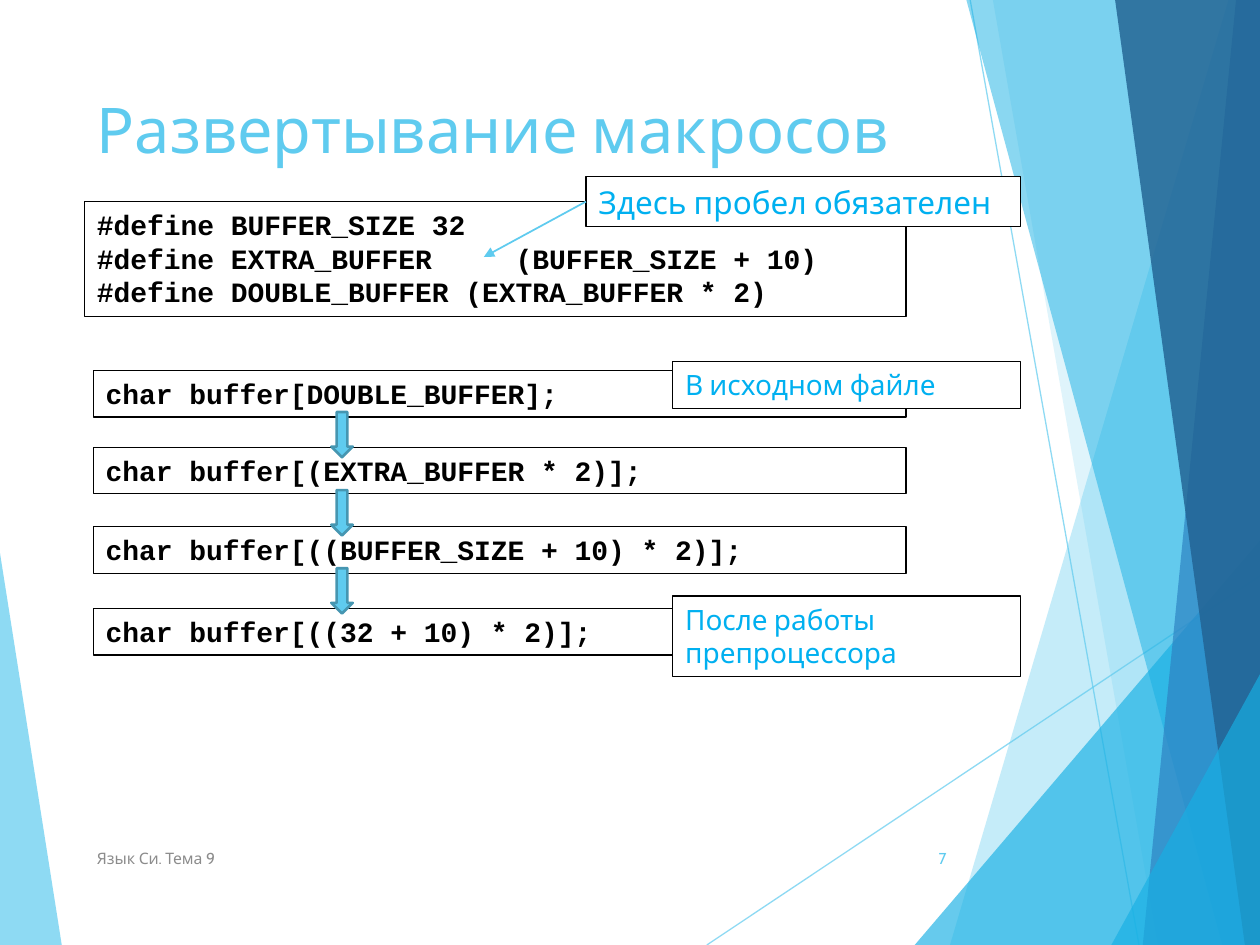
from lxml.etree import SubElement as Sub
from pptx import Presentation
from pptx.dml.color import RGBColor
from pptx.enum.shapes import MSO_CONNECTOR as Link, MSO_SHAPE as Kind
from pptx.enum.text import MSO_ANCHOR as Anchor, PP_ALIGN as Align
from pptx.oxml.ns import qn
from pptx.util import Inches, Pt

W, H = 10, 7.5
SKY, BLUE, NOTE = "5FCBEF", "17B0E4", "00B0F0"

# Background facets: corner points, colour, opacity in percent
LEFT = ([(0, 4.39), (0.49, H), (0, H)], SKY, 70)
RAYS = [((5.61, H), (W, 4.57)), ((7.7, 0), (9.04, H))]
RIGHT = [
    ([(9.75, 0), (7.54, H), (W, H), (W, 0)], SKY, 36),
    ([(7.88, 0), (9.19, H), (W, H), (W, 0)], SKY, 20),
    ([(7.26, H), (W, 4.29), (W, H)], BLUE, 66),
    ([(7.67, 0), (9.7, H), (W, H), (W, 0)], BLUE, 50),
    ([(9.81, 0), (9.07, H), (W, H), (W, 0)], "2E83C3", 70),
    ([(8.85, 0), (9.88, H), (W, H), (W, 0)], "226292", 82),
    ([(8.82, H), (W, 5.35), (W, H)], BLUE, 66),
]

# Plain text: words, place, font values, anchor, alignment
LABELS = [
    ("Развертывание макросов", (0.67, 0.67, 6.94, 1.44), (36, SKY), Anchor.TOP, Align.LEFT),
    ("Язык Си. Тема 9", (0.67, 6.61, 5.06, 0.4), (9, "8C8C8C"), Anchor.MIDDLE, Align.LEFT),
    ("7", (7.05, 6.61, 0.56, 0.4), (9, SKY), Anchor.MIDDLE, Align.RIGHT),
]
MACROS = [
    "#define BUFFER_SIZE 32",
    "#define EXTRA_BUFFER     (BUFFER_SIZE + 10)",
    "#define DOUBLE_BUFFER (EXTRA_BUFFER * 2)",
]
STEPS = [
    (2.94, "char buffer[DOUBLE_BUFFER];"),
    (3.55, "char buffer[(EXTRA_BUFFER * 2)];"),
    (4.18, "char buffer[((BUFFER_SIZE + 10) * 2)];"),
    (4.83, "char buffer[((32 + 10) * 2)];"),
]
NOTES = [
    ("В исходном файле", (5.34, 2.87, 2.76, 0.37)),
    ("После работы препроцессора", (5.34, 4.73, 2.76, 0.64)),
]
HINT = ("Здесь пробел обязателен", (4.65, 1.4, 3.45, 0.4))
TARGET = (3.84, 2.04)
ARROW, PITCH = (2.63, 3.27, 0.17, 0.36), 0.62

deck = Presentation()
deck.slide_width, deck.slide_height = Inches(W), Inches(H)
shapes = deck.slides.add_slide(deck.slide_layouts[6]).shapes


def rgb(code):
    return RGBColor.from_string(code)


def emu(nums):
    return [Inches(n) for n in nums]


def fade(shape, share):
    """Make the colours set so far see-through."""
    for tint in list(shape._element.spPr.iter(qn("a:srgbClr"))):
        Sub(tint, qn("a:alpha"), val=str(share * 1000))


def facet(points, color, share):
    first, *rest = [emu(p) for p in points]
    pen = shapes.build_freeform(*first)
    pen.add_line_segments(rest)
    shape = pen.convert_to_shape()
    shape.shadow.inherit = False
    shape.fill.solid()
    shape.fill.fore_color.rgb = rgb(color)
    shape.line.fill.background()
    fade(shape, share)


def join(start, end, width):
    line = shapes.add_connector(Link.STRAIGHT, *emu(start), *emu(end))
    line.line.color.rgb = rgb(SKY)
    line.line.width = Pt(width)
    Sub(line._element.spPr, qn("a:effectLst"))
    return line


def write(shape, lines, size, color, face="Cabin", bold=False,
          anchor=Anchor.TOP, align=Align.LEFT):
    frame = shape.text_frame
    frame.word_wrap = True
    frame.vertical_anchor = anchor
    frame.text = "\n".join(lines)
    style = {"size": Pt(size), "name": face, "bold": bold}
    for para in frame.paragraphs:
        para.alignment = align
        for key, value in style.items():
            setattr(para.font, key, value)
        para.font.color.rgb = rgb(color)


def block(kind, place, fill, edge, width):
    shape = shapes.add_shape(kind, *emu(place))
    shape.shadow.inherit = False
    if fill:
        shape.fill.solid()
        shape.fill.fore_color.rgb = rgb(fill)
    else:
        shape.fill.background()
    shape.line.color.rgb = rgb(edge)
    shape.line.width = Pt(width)
    return shape


def code(place, lines):
    box = block(Kind.RECTANGLE, place, None, "000000", 0.75)
    write(box, lines, 16, "000000", "Courier New", True)


def note(text, place, size=16):
    box = block(Kind.RECTANGLE, place, "FFFFFF", "000000", 0.75)
    write(box, [text], size, NOTE)
    return box


facet(*LEFT)
for start, end in RAYS:
    fade(join(start, end, 0.75), 70)
for item in RIGHT:
    facet(*item)

for text, place, font, anchor, align in LABELS:
    write(shapes.add_textbox(*emu(place)), [text], *font, anchor=anchor, align=align)

code((0.67, 1.6, 6.52, 0.91), MACROS)
for top, text in STEPS:
    code((0.74, top, 6.45, 0.37), [text])
for item in NOTES:
    note(*item)

left, top, wide, high = ARROW
for i in range(len(STEPS) - 1):
    block(Kind.DOWN_ARROW, (left, top + i * PITCH, wide, high), SKY, "4696B1", 1.5)

hint = note(*HINT, size=18)
pointer = join(HINT[1][:2], TARGET, 1)
pointer.begin_connect(hint, 1)
Sub(pointer.line._get_or_add_ln(), qn("a:tailEnd"), type="triangle")

deck.save("out.pptx")
